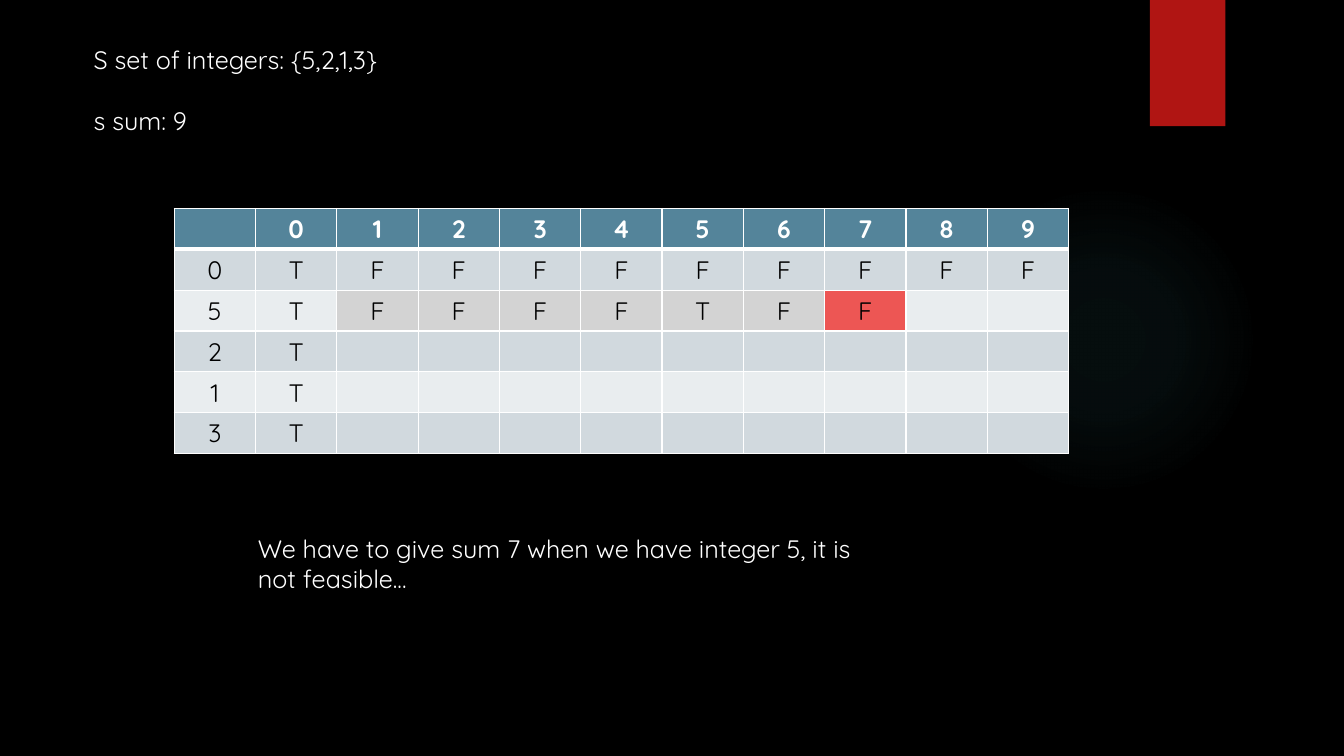
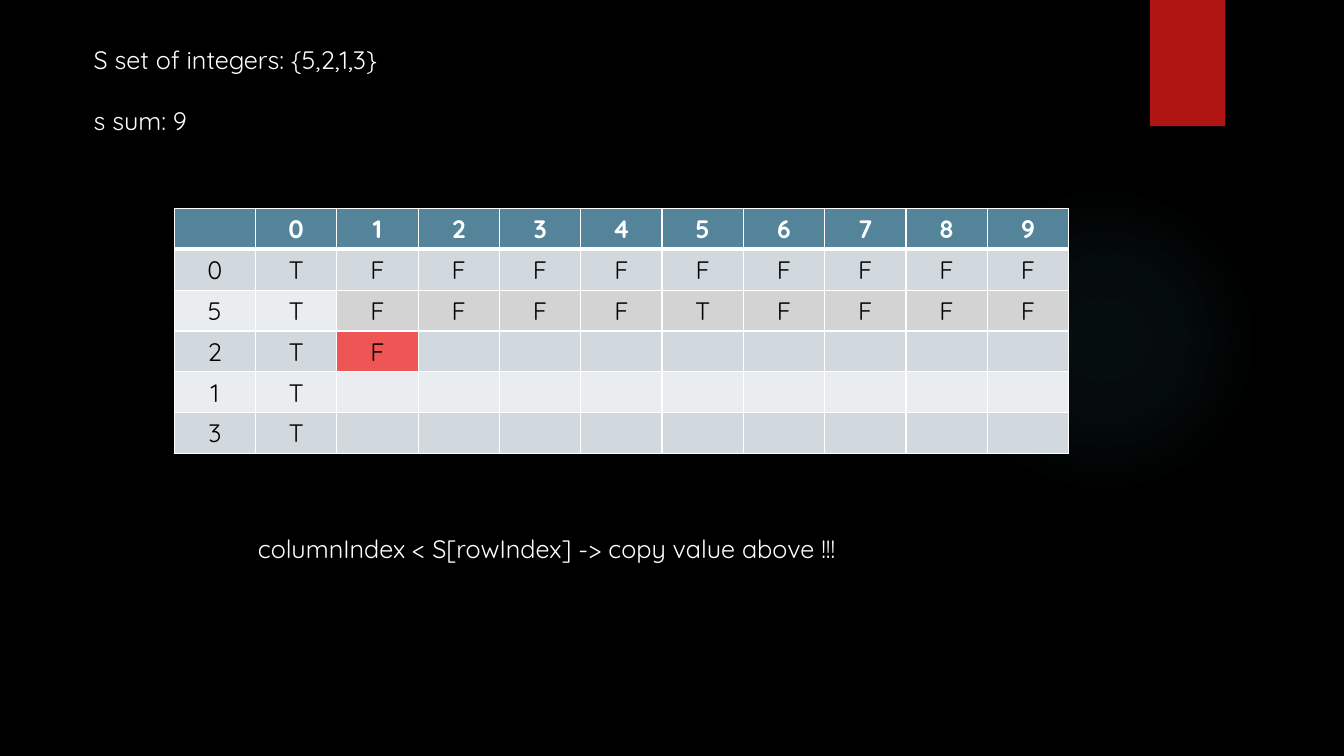
from pptx import Presentation
from pptx.dml.color import RGBColor
from pptx.enum.shapes import MSO_SHAPE
from pptx.enum.text import PP_ALIGN
from pptx.oxml import parse_xml
from pptx.oxml.ns import nsdecls, qn
from pptx.util import Cm, Pt

WHITE, BLACK, RED, GLOW = "FFFFFF", "000000", "B01513", "50B9C1"
HEADER, BANDS = "54849A", ("E9EDEF", "D1D9DE")
DONE, CURRENT = "D3D3D3", "ED5654"
INTEGERS = [0, 5, 2, 1, 3]
COLS, ROWS = 11, len(INTEGERS) + 1
COL_W, ROW_H = Cm(2.05), Cm(1.03)

# Filled rows after the T column, the current (row, column), and the caption
STEPS = [
    (["FFFFFFFFF", "FFFFTFF"], (2, 8),
     ["We have to give sum 7 when we have integer 5, it is",
      "not feasible..."]),
    (["FFFFFFFFF", "FFFFTFFFF", "F"], (3, 2),
     ["columnIndex < S[rowIndex] -> copy value above !!!"]),
]


def rgb(value):
    return RGBColor.from_string(value)


def add_text(p, text, color=WHITE, bold=False):
    r = p.add_run()
    r.text = text
    r.font.name = "Quicksand"
    r.font.size = Pt(18)
    r.font.bold = bold
    r.font.color.rgb = rgb(color)


prs = Presentation()
prs.slide_width, prs.slide_height = Cm(33.87), Cm(19.05)
layout = prs.slide_layouts.get_by_name("Blank")
slides = [prs.slides.add_slide(layout) for _ in STEPS]

# Shared background, glow and red tab, kept on the layout
layout.background.fill.solid()
layout.background.fill.fore_color.rgb = rgb(BLACK)
shapes = slides[0].shapes
glow = shapes.add_shape(MSO_SHAPE.OVAL, Cm(23.9), Cm(4.65), Cm(7.82), Cm(7.82))
glow.fill.gradient()
grad = glow.element.spPr.find(qn("a:gradFill"))
stops = "".join(
    f'<a:gs pos="{pos}000"><a:srgbClr val="{GLOW}">'
    f'<a:alpha val="{alpha}000"/></a:srgbClr></a:gs>'
    for pos, alpha in ((0, 7), (36, 6), (69, 0)))
grad.getparent().replace(grad, parse_xml(
    f'<a:gradFill {nsdecls("a")}><a:gsLst>{stops}</a:gsLst><a:path path="circle">'
    '<a:fillToRect l="50000" t="50000" r="50000" b="50000"/></a:path></a:gradFill>'))
tab = shapes.add_shape(MSO_SHAPE.RECTANGLE, Cm(28.98), 0, Cm(1.9), Cm(3.18))
tab.fill.solid()
tab.fill.fore_color.rgb = rgb(RED)
for sp in (glow, tab):
    sp.line.fill.background()
    sp.shadow.inherit = False
    layout.shapes.element.append(sp.element)

for s, (filled, current, caption) in zip(slides, STEPS):
    # Problem statement and caption
    for lines, left, top, width, height, gap in (
            (["S set of integers: {5,2,1,3}", "s sum: 9"], 2.11, 0.99, 8.1, 2.57, 22),
            (caption, 6.25, 13.31, 16.8, 1.8, 0)):
        tf = s.shapes.add_textbox(Cm(left), Cm(top), Cm(width), Cm(height)).text_frame
        tf.word_wrap = True
        for i, line in enumerate(lines):
            p = tf.add_paragraph() if i else tf.paragraphs[0]
            if i:
                p.space_before = Pt(gap)
            add_text(p, line)

    # Table contents: header, then each integer with its known values
    values = [[""] + [str(n) for n in range(COLS - 1)]]
    for i, integer in enumerate(INTEGERS):
        known = filled[i] if i < len(filled) else ""
        values.append([str(integer), "T", *known.ljust(COLS - 2)])

    # Table
    table = s.shapes.add_table(ROWS, COLS, Cm(4.39), Cm(5.25),
                               COL_W * COLS, ROW_H * ROWS).table
    table.horz_banding = False
    for col in table.columns:
        col.width = COL_W
    for i, row in enumerate(table.rows):
        row.height = ROW_H
        for j, cell in enumerate(row.cells):
            tcPr = cell._tc.get_or_add_tcPr()
            for side in "LRTB":
                thick = (i, side) in ((0, "B"), (1, "T"))
                tcPr.append(parse_xml(
                    f'<a:ln{side} {nsdecls("a")} w="{Pt(3 if thick else 1)}"><a:solidFill>'
                    f'<a:srgbClr val="{WHITE}"/></a:solidFill></a:ln{side}>'))
            value = values[i][j].strip()
            if i == 0:
                color = HEADER
            elif (i, j) == current:
                color = CURRENT
            elif i == 2 and j > 1 and value:
                color = DONE
            else:
                color = BANDS[i % 2]
            cell.fill.solid()
            cell.fill.fore_color.rgb = rgb(color)
            p = cell.text_frame.paragraphs[0]
            p.alignment = PP_ALIGN.CENTER
            p.font.size = Pt(18)
            if value:
                add_text(p, value, BLACK if i else WHITE, bold=i == 0)

prs.save("out.pptx")
